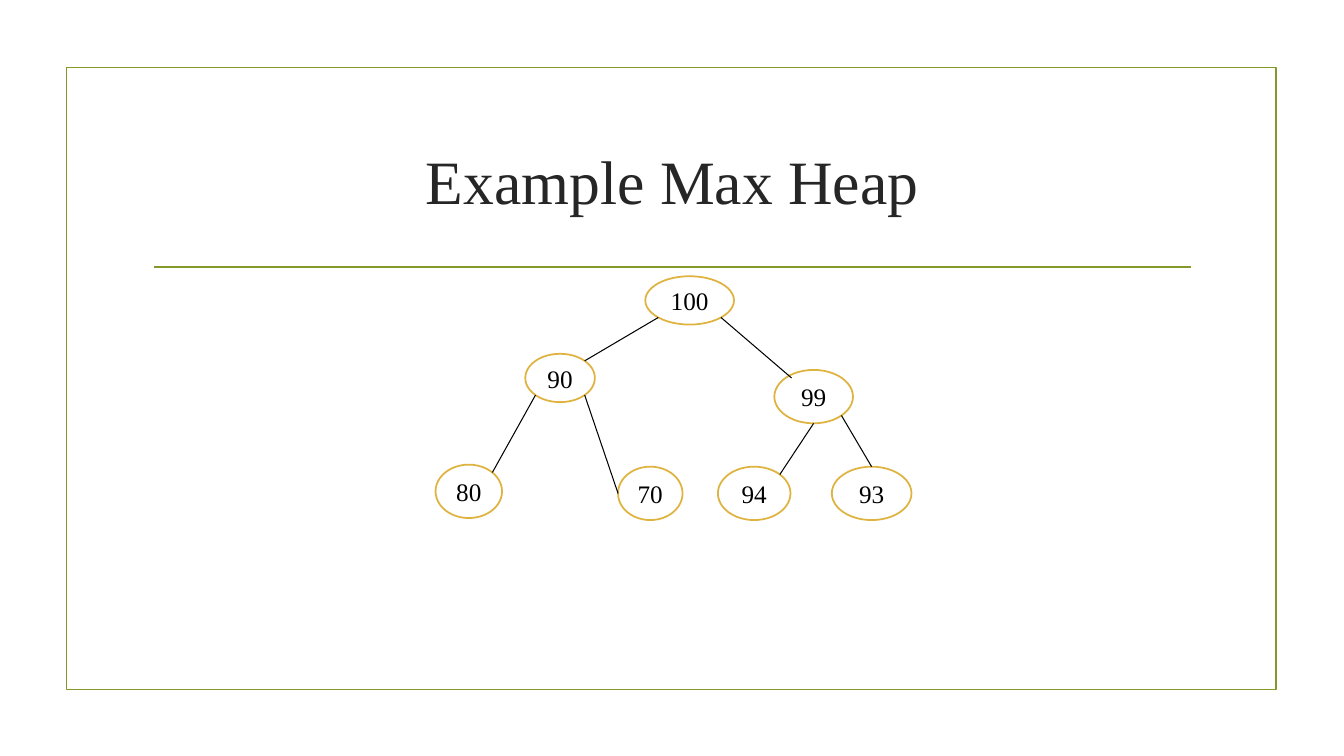
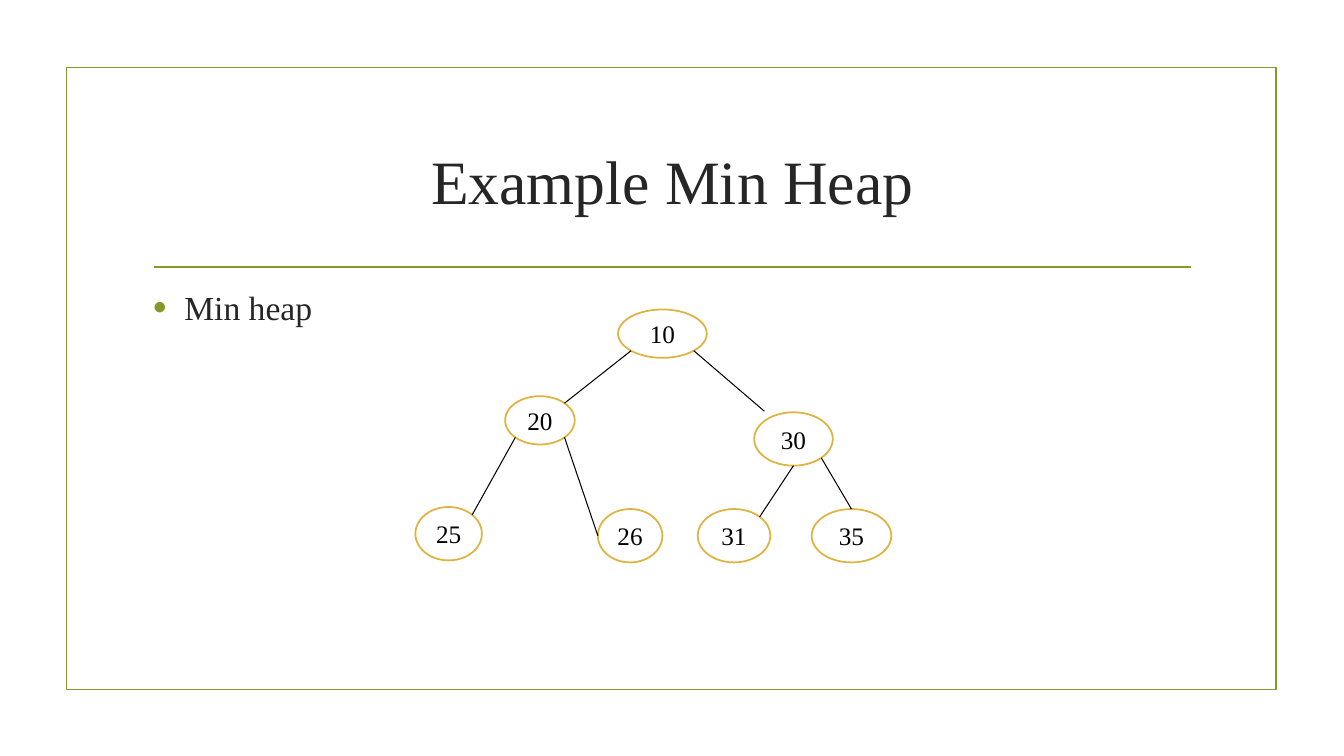
"""Build two slides that show an example max heap and an example min heap."""
import math

from lxml import etree
from pptx import Presentation
from pptx import util as u
from pptx.dml.color import RGBColor
from pptx.enum import shapes, text
from pptx.oxml import ns

HEAPS = [
    {"title": "Example Max Heap", "bullets": [],
     "values": [100, 90, 99, 80, 70, 94, 93],
     "root": (640, 274), "branches": (432, 351)},
    {"title": "Example Min Heap", "bullets": ["Min heap"],
     "values": [10, 20, 30, 25, 26, 31, 35],
     "root": (613, 307), "branches": (412, 393)},
]

COLOURS = {"accent": "83992A", "node": "DEB340", "title": "262626",
           "ink": "000000", "paper": "FFFFFF"}
FONT = "Times New Roman"
SLIDE_SIZE = (1333, 750)
FRAME = (66, 67, 1200, 617)
TITLE_BOX = (142, 107, 1050, 143)
BODY_BOX = (142, 280, 1050, 363)
RULE = ((153, 265), (1181, 265))
INDENT = 31

NODE_SIZES = [(88, 48), (69, 48), (78, 53), (66, 53), (64, 53), (72, 53), (79, 53)]
BRANCH_OFFSETS = [(89, 0), (336, 16), (0, 110), (181, 112), (280, 112), (393, 112)]
SITE_ANGLES = {"right": 0, "bottom right": 45, "bottom": 90, "bottom left": 135,
               "left": 180, "top left": 225, "top": 270, "top right": 315}
EDGE_SITES = [("bottom left", "top right"), ("bottom right", None),
              ("bottom left", "top right"), ("bottom right", "left"),
              ("bottom", "top right"), ("bottom right", "top")]
RIGHT_BRANCH_RUN = (70, 60)


def px(length):
    return u.Emu(round(length * 9144))


def colour(name):
    return RGBColor.from_string(COLOURS[name])


def style_text(paragraph, size, ink, alignment):
    paragraph.alignment = alignment
    paragraph.font.name = FONT
    paragraph.font.size = u.Pt(size)
    paragraph.font.color.rgb = colour(ink)


def add_outline(slide, preset, box, line):
    shape = slide.shapes.add_shape(preset, *map(px, box))
    shape.shadow.inherit = False
    shape.fill.background()
    shape.line.color.rgb = colour(line)
    shape.line.width = u.Pt(1.25)
    return shape


def add_line(slide, start, end, ink, width):
    connector = slide.shapes.add_connector(
        shapes.MSO_CONNECTOR.STRAIGHT, *map(px, (*start, *end)))
    connector.line.color.rgb = colour(ink)
    connector.line.width = u.Pt(width)
    etree.SubElement(connector._element.spPr, ns.qn("a:effectLst"))


def add_text_box(slide, box, anchor):
    frame = slide.shapes.add_textbox(*map(px, box)).text_frame
    frame.word_wrap = True
    frame.vertical_anchor = anchor
    return frame


def add_theme(slide, title):
    add_outline(slide, shapes.MSO_SHAPE.RECTANGLE, FRAME, "accent")
    add_line(slide, *RULE, "accent", 1.25)
    paragraph = add_text_box(slide, TITLE_BOX, text.MSO_ANCHOR.MIDDLE).paragraphs[0]
    paragraph.text = title
    style_text(paragraph, 44, "title", text.PP_ALIGN.CENTER)


def add_bullets(slide, bullets):
    frame = add_text_box(slide, BODY_BOX, text.MSO_ANCHOR.TOP)
    for index, bullet in enumerate(bullets):
        paragraph = frame.add_paragraph() if index else frame.paragraphs[0]
        paragraph.text = bullet
        style_text(paragraph, 24, "title", text.PP_ALIGN.LEFT)
        paragraph.space_before = u.Pt(4.8)
        paragraph.space_after = u.Pt(6)
        properties = paragraph._p.get_or_add_pPr()
        properties.set("marL", str(px(INDENT)))
        properties.set("indent", str(-px(INDENT)))
        marks = etree.fromstring(
            f'<a:marks {ns.nsdecls("a")}>'
            f'<a:buClr><a:srgbClr val="{COLOURS["accent"]}"/></a:buClr>'
            '<a:buSzPct val="115000"/><a:buFont typeface="Arial"/>'
            '<a:buChar char="•"/></a:marks>')
        position = properties.index(properties.find(ns.qn("a:defRPr")))
        properties[position:position] = list(marks)


def add_node(slide, box, value):
    node = add_outline(slide, shapes.MSO_SHAPE.OVAL, box, "node")
    node.fill.solid()
    node.fill.fore_color.rgb = colour("paper")
    frame = node.text_frame
    frame.word_wrap = False
    frame.vertical_anchor = text.MSO_ANCHOR.MIDDLE
    frame.text = str(value)
    style_text(frame.paragraphs[0], 18, "ink", text.PP_ALIGN.CENTER)


def site_point(box, site):
    left, top, width, height = box
    angle = math.radians(SITE_ANGLES[site])
    return (left + width / 2 * (1 + math.cos(angle)),
            top + height / 2 * (1 + math.sin(angle)))


def add_heap(slide, heap):
    left, top = heap["branches"]
    corners = [heap["root"]] + [(left + x, top + y) for x, y in BRANCH_OFFSETS]
    boxes = [corner + size for corner, size in zip(corners, NODE_SIZES)]
    for box, value in zip(boxes, heap["values"]):
        add_node(slide, box, value)
    for child, (parent_site, child_site) in enumerate(EDGE_SITES, start=1):
        start = site_point(boxes[(child - 1) // 2], parent_site)
        if child_site:
            end = site_point(boxes[child], child_site)
        else:
            end = tuple(a + b for a, b in zip(start, RIGHT_BRANCH_RUN))
        add_line(slide, start, end, "ink", 0.75)


def main():
    presentation = Presentation()
    presentation.slide_width, presentation.slide_height = map(px, SLIDE_SIZE)
    for heap in HEAPS:
        slide = presentation.slides.add_slide(presentation.slide_layouts[6])
        add_theme(slide, heap["title"])
        if heap["bullets"]:
            add_bullets(slide, heap["bullets"])
        add_heap(slide, heap)
    presentation.save("out.pptx")


if __name__ == "__main__":
    main()
